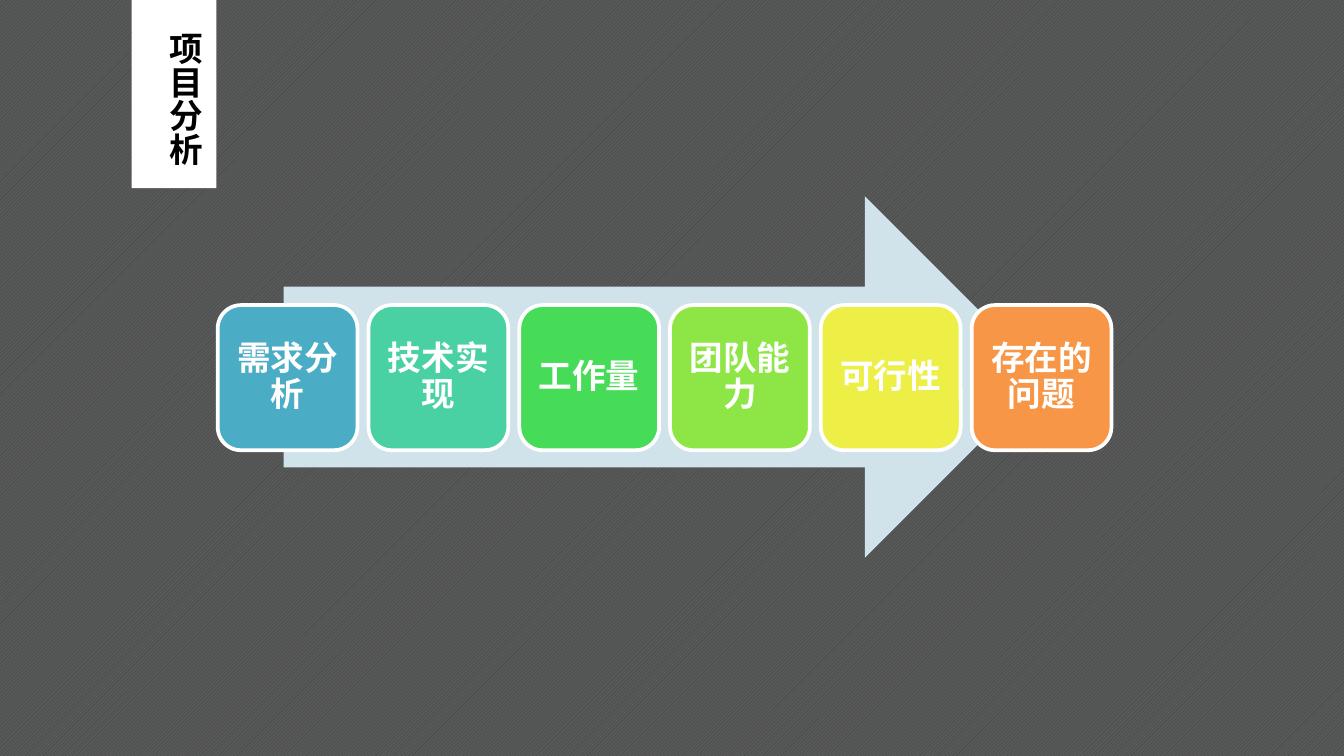
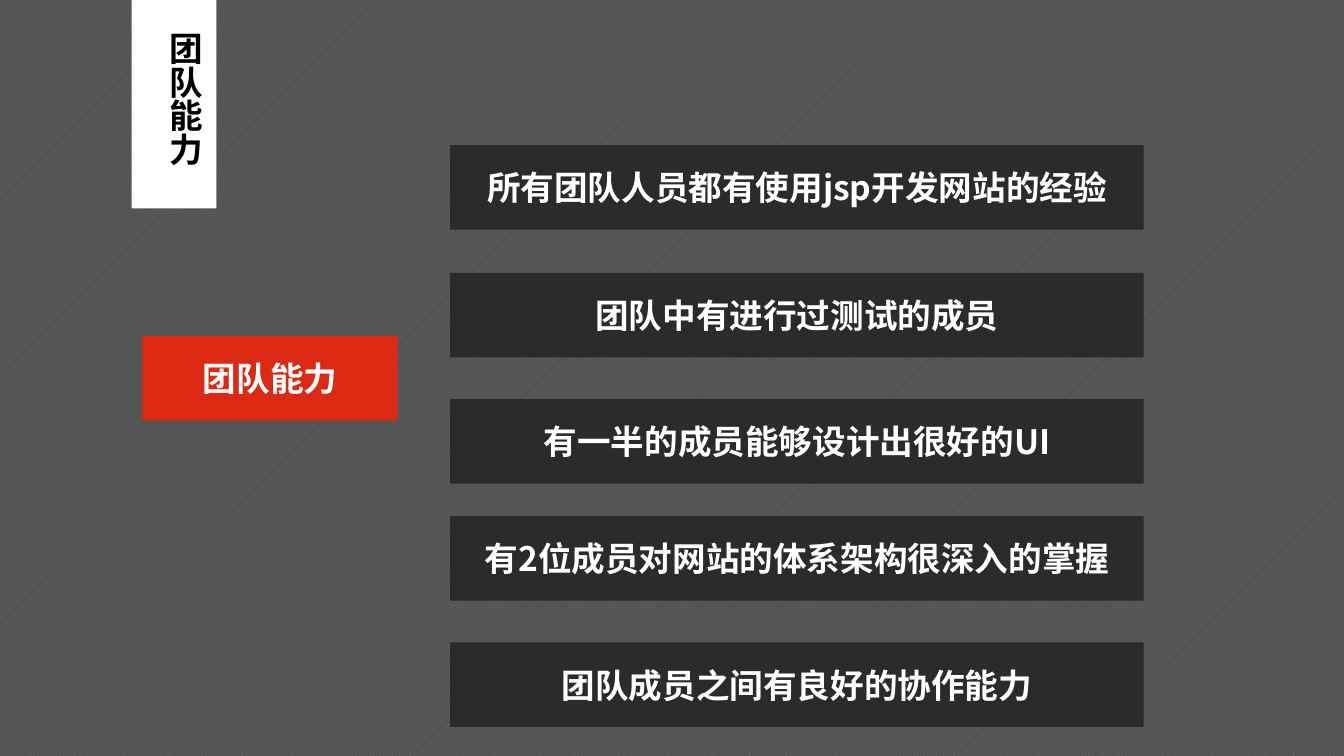
from dataclasses import dataclass

from lxml import etree
from pptx import Presentation
from pptx.dml.color import RGBColor
from pptx.enum.dml import MSO_PATTERN
from pptx.enum.shapes import MSO_SHAPE
from pptx.enum.text import MSO_ANCHOR, MSO_AUTO_SIZE, PP_ALIGN
from pptx.oxml.ns import qn
from pptx.util import Inches, Pt

RECTANGLE = MSO_SHAPE.RECTANGLE
ROUNDED = MSO_SHAPE.ROUNDED_RECTANGLE
RIGHT_ARROW = MSO_SHAPE.RIGHT_ARROW
DIAGONAL = MSO_PATTERN.DARK_UPWARD_DIAGONAL
MIDDLE = MSO_ANCHOR.MIDDLE
GROW = MSO_AUTO_SIZE.SHAPE_TO_FIT_TEXT
CENTER = PP_ALIGN.CENTER

SLIDE_WIDTH = 10
SLIDE_HEIGHT = SLIDE_WIDTH * 9 / 16
FONT = "Noto Sans CJK SC"
COLORS = {
    "stripe": "384340", "ground": "595959", "white": "FFFFFF", "black": "000000",
    "arrow": "D0E3EA", "bar": "2B2B29", "red": "DB2914",
    "blue": "4BACC6", "teal": "49D1A3", "green": "47DC57",
    "lime": "8DE646", "yellow": "EEEF46", "orange": "F79646",
}


@dataclass(frozen=True)
class Area:
    left: float
    top: float
    width: float
    height: float

    def lengths(self) -> list[Inches]:
        return [Inches(n) for n in (self.left, self.top, self.width, self.height)]


@dataclass(frozen=True)
class Step:
    text: str
    color: str


STEPS = [
    Step("需求分析", "blue"),
    Step("技术实现", "teal"),
    Step("工作量", "green"),
    Step("团队能力", "lime"),
    Step("可行性", "yellow"),
    Step("存在的问题", "orange"),
]
STEP_LEFT, LAST_STEP_LEFT = 1.62, 7.23
STEP_PITCH = (LAST_STEP_LEFT - STEP_LEFT) / (len(STEPS) - 1)

BAR_HEIGHT = 0.63
STRENGTHS = {
    1.08: "所有团队人员都有使用jsp开发网站的经验",
    2.03: "团队中有进行过测试的成员",
    2.97: "有一半的成员能够设计出很好的UI",
    3.84: "有2位成员对网站的体系架构很深入的掌握",
    4.78: "团队成员之间有良好的协作能力",
}


def rgb(color: str) -> RGBColor:
    return RGBColor.from_string(COLORS[color])


def write(box, text: str, color: str):
    """Put one bold line of text in the box and return its paragraph."""
    frame = box.text_frame
    frame.word_wrap = True
    para = frame.paragraphs[0]
    para.text = text
    font = para.font
    font.name, font.size, font.bold = FONT, Pt(18), True
    font.color.rgb = rgb(color)
    defaults = para._p.get_or_add_pPr().find(qn("a:defRPr"))
    etree.SubElement(defaults, qn("a:ea")).set("typeface", FONT)
    return para


def add_block(slide, kind, area: Area, fill: str):
    block = slide.shapes.add_shape(kind, *area.lengths())
    block.shadow.inherit = False
    block.fill.solid()
    block.fill.fore_color.rgb = rgb(fill)
    block.line.fill.background()
    return block


def add_label(slide, kind, area: Area, fill: str, text: str):
    """Draw a block with centred white text."""
    label = add_block(slide, kind, area, fill)
    label.text_frame.vertical_anchor = MIDDLE
    write(label, text, "white").alignment = CENTER
    return label


def add_slide(deck, title: str, band_height: float, title_height: float):
    """Add a striped slide with a vertical title on a white band."""
    slide = deck.slides.add_slide(deck.slide_layouts[6])
    ground = slide.background.fill
    ground.patterned()
    ground.pattern = DIAGONAL
    ground.fore_color.rgb = rgb("stripe")
    ground.back_color.rgb = rgb("ground")

    add_block(slide, RECTANGLE, Area(0.98, 0, 0.63, band_height), "white")
    box = slide.shapes.add_textbox(*Area(1.08, 0.14, 0.5, title_height).lengths())
    write(box, title, "black")
    box.text_frame.auto_size = GROW
    box.text_frame._txBody.bodyPr.set("vert", "eaVert")
    return slide


def add_step(slide, index: int, step: Step) -> None:
    area = Area(STEP_LEFT + index * STEP_PITCH, 2.27, 1.04, 1.08)
    card = add_label(slide, ROUNDED, area, step.color, step.text)
    card.line.color.rgb = rgb("white")
    card.line.width = Pt(2)
    frame = card.text_frame
    frame.margin_left = frame.margin_right = Inches(0.07)
    frame.margin_top = frame.margin_bottom = Inches(0.07)
    frame.paragraphs[0].line_spacing = 0.9


def build_analysis(deck) -> None:
    slide = add_slide(deck, "项目分析", 1.4, 1.33)
    add_block(slide, RIGHT_ARROW, Area(2.11, 1.46, 5.67, 2.69), "arrow")
    for index, step in enumerate(STEPS):
        add_step(slide, index, step)


def build_team(deck) -> None:
    slide = add_slide(deck, "团队能力", 1.55, 1.26)
    add_label(slide, RECTANGLE, Area(1.06, 2.5, 1.9, BAR_HEIGHT), "red", "团队能力")
    for top, text in STRENGTHS.items():
        add_label(slide, RECTANGLE, Area(3.35, top, 5.16, BAR_HEIGHT), "bar", text)


def main() -> None:
    deck = Presentation()
    deck.slide_width, deck.slide_height = Inches(SLIDE_WIDTH), Inches(SLIDE_HEIGHT)
    build_analysis(deck)
    build_team(deck)
    deck.save("out.pptx")


if __name__ == "__main__":
    main()
